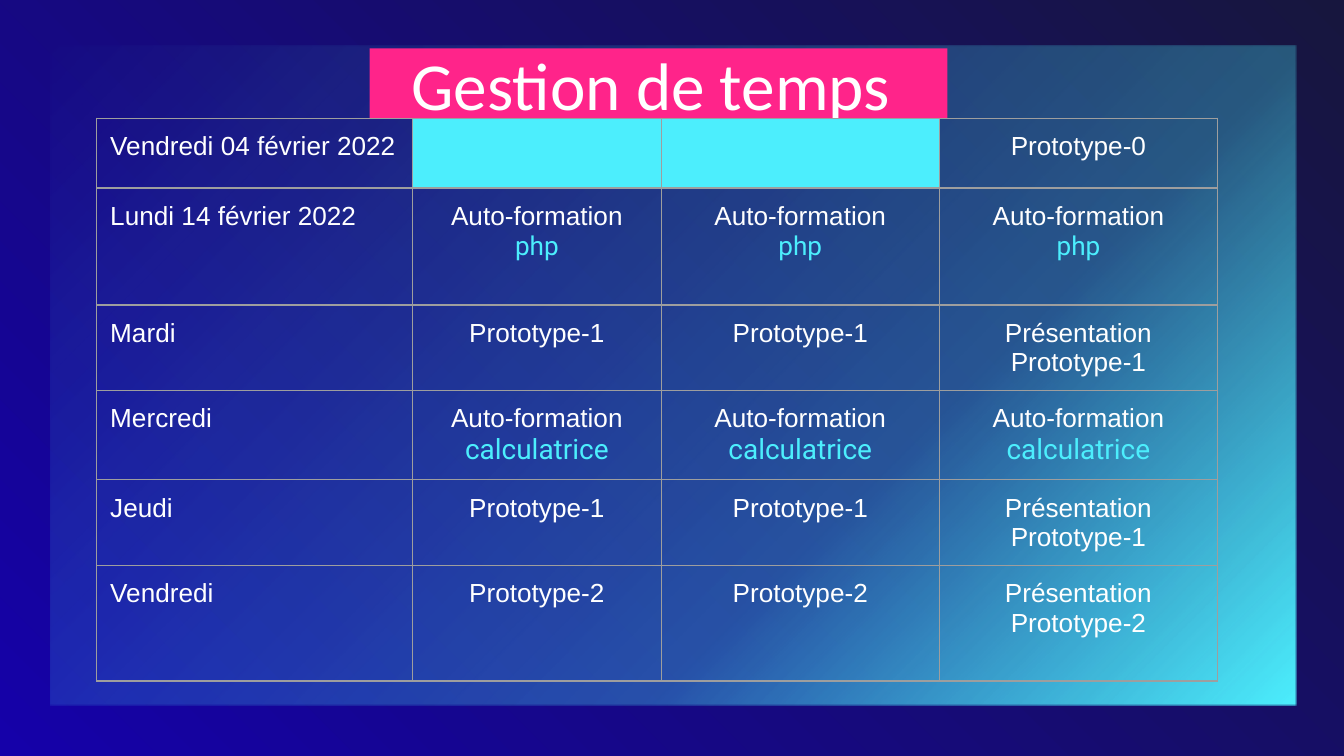
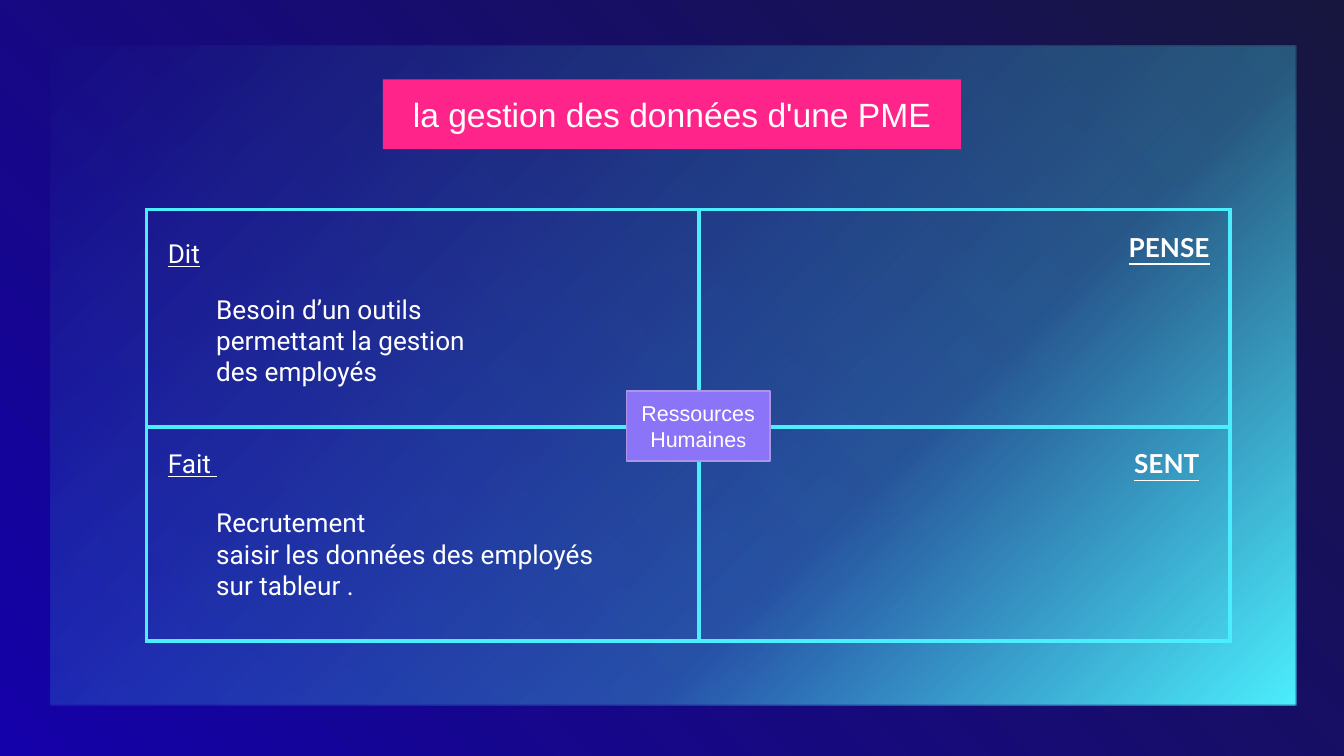
from dataclasses import dataclass

from lxml.etree import SubElement
from pptx import Presentation
from pptx.dml.color import RGBColor
from pptx.enum.shapes import MSO_SHAPE as Preset
from pptx.enum.text import MSO_ANCHOR as Anchor, PP_ALIGN as Align
from pptx.oxml.ns import qn
from pptx.util import Inches, Pt


@dataclass(frozen=True)
class Theme:
    """Colours, fonts and type sizes shared by the slides."""

    deep: str = "1501A9"
    night: str = "17163E"
    cyan: str = "4CEEFD"
    pink: str = "FF248A"
    violet: str = "8C74F9"
    lilac: str = "AD95E6"
    grey: str = "9E9E9E"
    white: str = "FFFFFF"
    plain: str = "Arial"
    body: str = "Roboto"
    label: str = "Lato"
    display: str = "Calibri"
    headline: float = 36
    title: float = 18
    topic: float = 15
    text: float = 14
    badge: float = 11.5
    badge_end: float = 10.5
    margin: float = 0.1


THEME = Theme()


def style_run(run, size=THEME.text, font=THEME.plain, color=THEME.white, bold=False, underline=False):
    """Apply a text format to one run."""
    run.font.size = Pt(size)
    run.font.name = font
    run.font.color.rgb = RGBColor.from_string(color)
    run.font.bold = bold
    run.font.underline = underline


def set_margins(holder):
    """Give a text frame or a cell the common margins."""
    holder.margin_left = holder.margin_right = Inches(THEME.margin)
    holder.margin_top = holder.margin_bottom = Inches(THEME.margin)


def write(frame, paragraphs, align=Align.LEFT, **style):
    """Fill a text frame; a paragraph is a list of (text, own format) runs or a string."""
    for index, content in enumerate(paragraphs):
        paragraph = frame.paragraphs[0] if index == 0 else frame.add_paragraph()
        paragraph.alignment = align
        for text, own in [(content, {})] if isinstance(content, str) else content:
            for number, line in enumerate(text.split("\n")):
                if number:
                    paragraph.add_line_break()
                run = paragraph.add_run()
                run.text = line
                style_run(run, **{**style, **own})


def paint(fill, color):
    """Make a fill solid."""
    fill.solid()
    fill.fore_color.rgb = RGBColor.from_string(color)


def paint_gradient(fill, holder, angle, stops):
    """Give a fill its stops as (position, colour, opacity) in percent."""
    fill.gradient()
    fill.gradient_angle = angle
    stop_list = next(holder.iter(qn("a:gsLst")))
    for old in list(stop_list):
        stop_list.remove(old)
    for position, color, opacity in stops:
        stop = SubElement(stop_list, qn("a:gs"), pos=str(position * 1000))
        tint = SubElement(stop, qn("a:srgbClr"), val=color)
        if opacity < 100:
            SubElement(tint, qn("a:alpha"), val=str(opacity * 1000))


def border_cell(cell, color, width):
    """Draw the same line on the four sides of a cell."""
    properties = cell._tc.get_or_add_tcPr()
    for index, side in enumerate(("a:lnL", "a:lnR", "a:lnT", "a:lnB")):
        line = SubElement(properties, qn(side), w=str(Pt(width)))
        SubElement(SubElement(line, qn("a:solidFill")), qn("a:srgbClr"), val=color)
        properties.insert(index, line)


class Deck:
    """Presentation with its theme and the slide being built."""

    def __init__(self, theme):
        """Set the page size and the common background."""
        self.theme = theme
        self.show = Presentation()
        self.show.slide_width = Inches(10)
        self.show.slide_height = Inches(10) * 9 // 16
        master = self.show.slide_master
        paint_gradient(master.background.fill, master._element, 45,
                       [(0, theme.deep, 100), (100, theme.night, 100)])
        self.slide = None

    def new_slide(self):
        """Start a slide with its glowing panel."""
        self.slide = self.show.slides.add_slide(self.show.slide_layouts[6])
        cyan = self.theme.cyan
        panel = self.box(0.38, 0.34, 9.27, 4.91)
        paint_gradient(panel.fill, panel._element, 135,
                       [(0, cyan, 100), (34, cyan, 31), (100, cyan, 0)])

    def box(self, left, top, width, height, fill=None, line=None):
        """Add a flat rectangle."""
        area = map(Inches, (left, top, width, height))
        rectangle = self.slide.shapes.add_shape(Preset.RECTANGLE, *area)
        rectangle.shadow.inherit = False
        if fill:
            paint(rectangle.fill, fill)
        if line:
            paint(rectangle.line.fill, line)
            rectangle.line.width = Pt(0.75)
        else:
            rectangle.line.fill.background()
        return rectangle

    def caption(self, left, top, width, height, paragraphs, fill, line=None, **style):
        """Add a filled rectangle with centred text."""
        frame = self.box(left, top, width, height, fill, line).text_frame
        frame.word_wrap = True
        frame.vertical_anchor = Anchor.MIDDLE
        set_margins(frame)
        write(frame, paragraphs, align=Align.CENTER, **style)

    def title(self, left, top, text, **style):
        """Add the pink title band."""
        self.caption(left, top, 4.3, 0.52, [text], self.theme.pink, **style)

    def note(self, left, top, width, height, text, **style):
        """Add a text box."""
        area = map(Inches, (left, top, width, height))
        frame = self.slide.shapes.add_textbox(*area).text_frame
        frame.word_wrap = True
        set_margins(frame)
        write(frame, [text], **style)

    def table(self, left, top, widths, heights, border, weight):
        """Add an unfilled table with lines around every cell."""
        area = map(Inches, (left, top, sum(widths), sum(heights)))
        grid = self.slide.shapes.add_table(len(heights), len(widths), *area).table
        grid.first_row = grid.horz_banding = False
        for column, width in zip(grid.columns, widths):
            column.width = Inches(width)
        for row, height in zip(grid.rows, heights):
            row.height = Inches(height)
        for cell in grid.iter_cells():
            cell.fill.background()
            set_margins(cell)
            border_cell(cell, border, weight)
        return grid


def build_schedule(deck):
    """Build the weekly schedule."""
    theme = deck.theme
    deck.new_slide()
    deck.title(2.75, 0.36, "Gestion de temps ", size=theme.headline, font=theme.display)

    def training(topic, size):
        """List the sessions of a training day."""
        accent = {"size": size, "font": theme.body, "color": theme.cyan}
        return [["Auto-formation", [(topic, accent)]]] * 3

    def prototype(number):
        """List the sessions of a prototype day."""
        name = f"Prototype-{number}"
        return [[name], [name], ["Présentation", name]]

    days = [
        ("Vendredi 04 février 2022", 0.52, [None, None, ["Prototype-0"]]),
        ("Lundi 14 février 2022", 0.87, training("php", theme.text)),
        ("Mardi", 0.63, prototype(1)),
        ("Mercredi", 0.66, training("calculatrice", theme.topic)),
        ("Jeudi", 0.63, prototype(1)),
        ("Vendredi", 0.86, prototype(2)),
    ]
    heights = [height for _, height, _ in days]
    schedule = deck.table(0.72, 0.88, [2.35, 1.85, 2.07, 2.07], heights, theme.grey, 0.75)
    for row, (day, _, sessions) in enumerate(days):
        write(schedule.cell(row, 0).text_frame, [day])
        for column, session in enumerate(sessions, 1):
            cell = schedule.cell(row, column)
            if session:
                write(cell.text_frame, session, align=Align.CENTER)
            else:
                paint(cell.fill, theme.cyan)


def build_empathy_map(deck):
    """Build the empathy map of the human resources team."""
    theme = deck.theme
    deck.new_slide()
    deck.title(2.85, 0.59, "la gestion des données d'une PME", size=theme.title)
    deck.table(1.09, 1.56, [4.11, 3.95], [1.62, 1.59], theme.cyan, 2.25)

    spoken = {"font": theme.body}
    inner = {"font": theme.label, "bold": True}
    for left, top, width, height, heading, style in [
        (1.15, 1.67, 0.45, 0.44, "Dit", spoken),
        (1.15, 3.23, 0.71, 0.44, "Fait ", spoken),
        (8.3, 1.62, 0.89, 0.67, "PENSE", inner),
        (8.34, 3.23, 0.89, 0.44, "SENT", inner),
    ]:
        deck.note(left, top, width, height, heading, underline=True, **style)

    team = ["Ressources ", [("Humaine", {}), ("s", {"size": theme.badge_end})]]
    deck.caption(4.66, 2.91, 1.07, 0.52, team, theme.violet, theme.lilac, size=theme.badge)

    for top, width, height, answer in [
        (2.08, 2.31, 0.91, "Besoin d’un outils permettant la gestion des employés"),
        (3.67, 3.02, 1.38, "Recrutement \nsaisir les données des employés sur tableur ."),
    ]:
        deck.note(1.51, top, width, height, answer, **spoken)


def main():
    """Build and save the two slides."""
    deck = Deck(THEME)
    build_schedule(deck)
    build_empathy_map(deck)
    deck.show.save("out.pptx")


if __name__ == "__main__":
    main()
